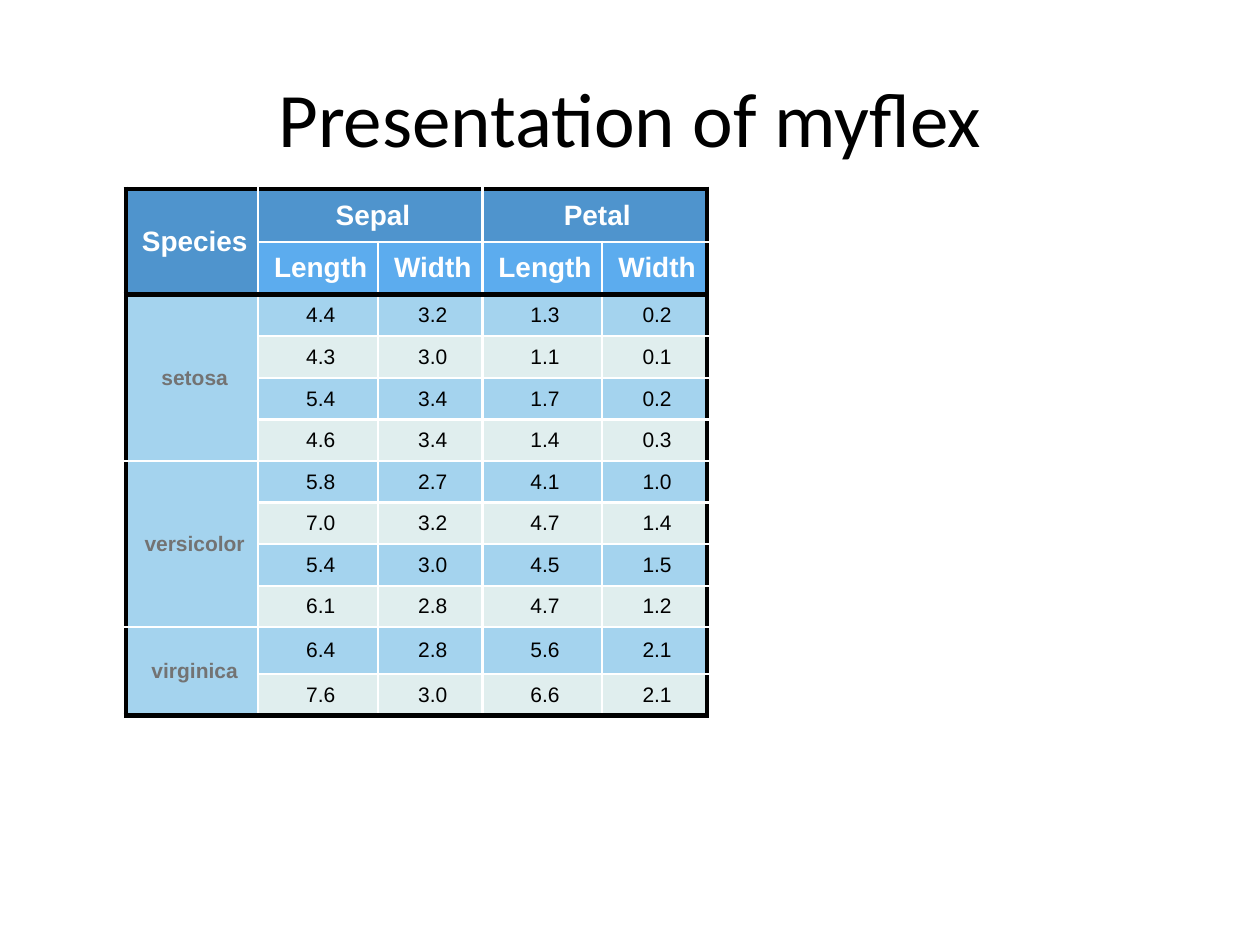
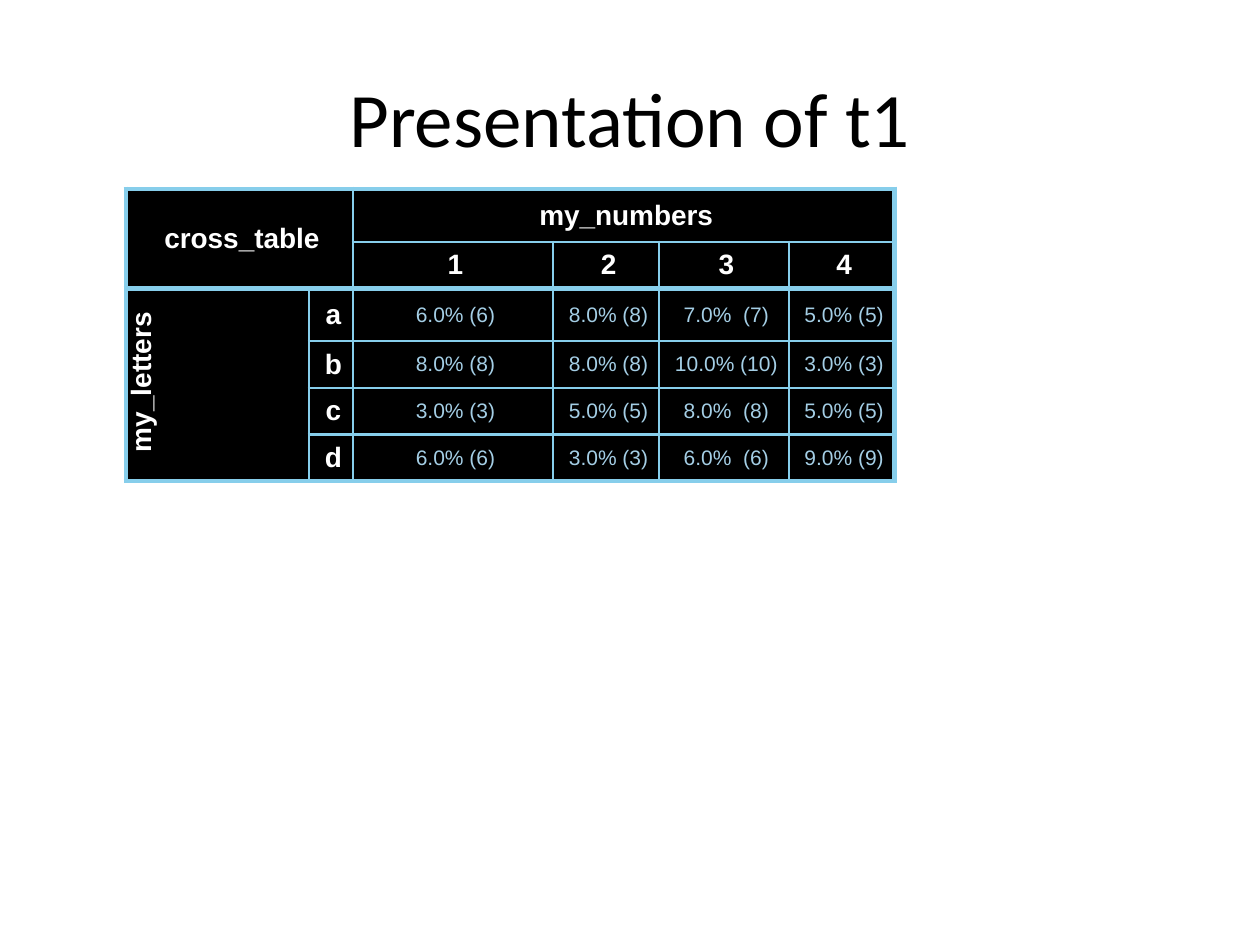
import lxml.etree
import pptx
import pptx.dml.color
import pptx.enum.text
import pptx.oxml.ns
import pptx.util

Inches = pptx.util.Inches
Pt = pptx.util.Pt
HUES = {
    "black": "000000", "white": "FFFFFF", "grey": "737373",
    "steel": "4F94CD", "blue": "5CACEE", "light": "A4D3EE",
    "mint": "E0EEEE", "sky": "87CEEB", "pale": "A4CEE5",
}
THICK, THIN = 3, 1.5
HEADS = 2  # header rows in each table


class Deck:
    """Holds the shared style and the current slide."""

    def __init__(self):
        """Start an empty 10 by 7.5 inch deck."""
        self.prs = pptx.Presentation()
        self.prs.slide_width = Inches(10)
        self.prs.slide_height = Inches(7.5)
        self.slide = None

    def font(self, par, name, size, hue, bold=False):
        """Centre a paragraph and format its runs."""
        par.alignment = pptx.enum.text.PP_ALIGN.CENTER
        for run in par.runs:
            run.font.name = name
            run.font.size = Pt(size)
            run.font.bold = bold
            run.font.color.rgb = pptx.dml.color.RGBColor.from_string(HUES[hue])

    def page(self, text):
        """Add a slide with a title."""
        self.slide = self.prs.slides.add_slide(self.prs.slide_layouts[5])
        head = self.slide.shapes.title
        head.left, head.top = Inches(0.5), Inches(0.3)
        head.width, head.height = Inches(9), Inches(1.25)
        head.text_frame.text = text
        head.text_frame.vertical_anchor = pptx.enum.text.MSO_ANCHOR.MIDDLE
        self.font(head.text_frame.paragraphs[0], "Calibri", 44, "black")

    def edge(self, cell, side, hue, width):
        """Draw one border (L, R, T or B) of a cell."""
        qn = pptx.oxml.ns.qn
        props = cell._tc.get_or_add_tcPr()
        line = lxml.etree.SubElement(props, qn("a:ln" + side), w=str(Pt(width)))
        fill = lxml.etree.SubElement(line, qn("a:solidFill"))
        lxml.etree.SubElement(fill, qn("a:srgbClr"), val=HUES[hue])

    def frame(self, grid, row, col, span, outer, inner):
        """Border a cell or span: thick outside and under the header."""
        high, wide = span
        last, end = row + high, col + wide
        rows, cols = len(grid.rows), len(grid.columns)
        bold = {
            "L": col == 0, "R": end == cols,
            "T": row in (0, HEADS), "B": last in (HEADS, rows),
        }
        for r in range(row, last):
            for c in range(col, end):
                first = (r, c) == (row, col)
                rim = {"L": c == col, "R": c == end - 1,
                       "T": r == row, "B": r == last - 1}
                for side, heavy in bold.items():
                    if first or rim[side]:
                        hue, width = (outer, THICK) if heavy else (inner, THIN)
                        self.edge(grid.cell(r, c), side, hue, width)

    def fill(self, cell, text, back, size, hue, bold):
        """Fill a cell and set its text."""
        cell.fill.solid()
        cell.fill.fore_color.rgb = pptx.dml.color.RGBColor.from_string(HUES[back])
        cell.margin_left = cell.margin_right = 0
        cell.margin_top = cell.margin_bottom = 0
        cell.vertical_anchor = pptx.enum.text.MSO_ANCHOR.MIDDLE
        cell.text_frame.text = text
        par = cell.text_frame.paragraphs[0]
        par.space_before = par.space_after = Pt(3)
        props = par._p.get_or_add_pPr()
        props.set("marL", str(Inches(0.04)))
        props.set("indent", "0")
        self.font(par, "Arial", size, hue, bold)

    def table(self, data, wide, high, spans, look, outer, inner):
        """Add a table; look(row, col) gives back, size, hue and bold."""
        shape = self.slide.shapes.add_table(
            len(high), len(wide), Inches(1), Inches(1.5), Inches(4), Inches(3))
        grid = shape.table
        grid.first_row = grid.horz_banding = False
        for col, size in zip(grid.columns, wide):
            col.width = Inches(size)
        for row, size in zip(grid.rows, high):
            row.height = Inches(size)
        shape.width, shape.height = Inches(4), Inches(3)
        for (r, c), (down, over) in spans.items():
            grid.cell(r, c).merge(grid.cell(r + down - 1, c + over - 1))
        for r, line in enumerate(data):
            for c, text in enumerate(line):
                cell = grid.cell(r, c)
                if not cell.is_spanned:
                    self.frame(grid, r, c, spans.get((r, c), (1, 1)), outer, inner)
                    self.fill(cell, text, *look(r, c))
        return grid


def iris(row, col):
    """Give the look of a cell in the species table."""
    if row < HEADS:
        return ("blue" if row else "steel"), 16, "white", True
    if col == 0:
        return "light", 12, "grey", True
    return ("mint" if row % 2 else "light"), 12, "black", False


def cross(row, col):
    """Give the look of a cell in the cross table."""
    if row < HEADS or col < 2:
        return "black", 16, "white", True
    return "black", 12, "pale", False


deck = Deck()

deck.page("Presentation of myflex")
deck.table(
    [
        ["Species", "Sepal", "", "Petal", ""],
        ["", "Length", "Width", "Length", "Width"],
        ["setosa", "4.4", "3.2", "1.3", "0.2"],
        ["", "4.3", "3.0", "1.1", "0.1"],
        ["", "5.4", "3.4", "1.7", "0.2"],
        ["", "4.6", "3.4", "1.4", "0.3"],
        ["versicolor", "5.8", "2.7", "4.1", "1.0"],
        ["", "7.0", "3.2", "4.7", "1.4"],
        ["", "5.4", "3.0", "4.5", "1.5"],
        ["", "6.1", "2.8", "4.7", "1.2"],
        ["virginica", "6.4", "2.8", "5.6", "2.1"],
        ["", "7.6", "3.0", "6.6", "2.1"],
    ],
    [1.05] + [0.95, 0.83] * 2,
    [0.42] * 2 + [0.33] * 8 + [0.37, 0.33],
    {(0, 0): (2, 1), (0, 1): (1, 2), (0, 3): (1, 2),
     (2, 0): (4, 1), (6, 0): (4, 1), (10, 0): (2, 1)},
    iris, "black", "white")

deck.page("Presentation of t1")
grid = deck.table(
    [
        ["cross_table", "", "my_numbers", "", "", ""],
        ["", "", "1", "2", "3", "4"],
        ["my_letters", "a", "6.0% (6)", "8.0% (8)", "7.0%  (7)", "5.0% (5)"],
        ["", "b", "8.0% (8)", "8.0% (8)", "10.0% (10)", "3.0% (3)"],
        ["", "c", "3.0% (3)", "5.0% (5)", "8.0%  (8)", "5.0% (5)"],
        ["", "d", "6.0% (6)", "3.0% (3)", "6.0%  (6)", "9.0% (9)"],
    ],
    [1.45, 0.35, 1.59, 0.84, 1.03, 0.84],
    [0.42, 0.37] * 2 + [0.37] * 2,
    {(0, 0): (2, 2), (0, 2): (1, 4), (2, 0): (4, 1)},
    cross, "sky", "sky")
grid.cell(HEADS, 0)._tc.get_or_add_tcPr().set("vert", "vert270")

deck.prs.save("out.pptx")
